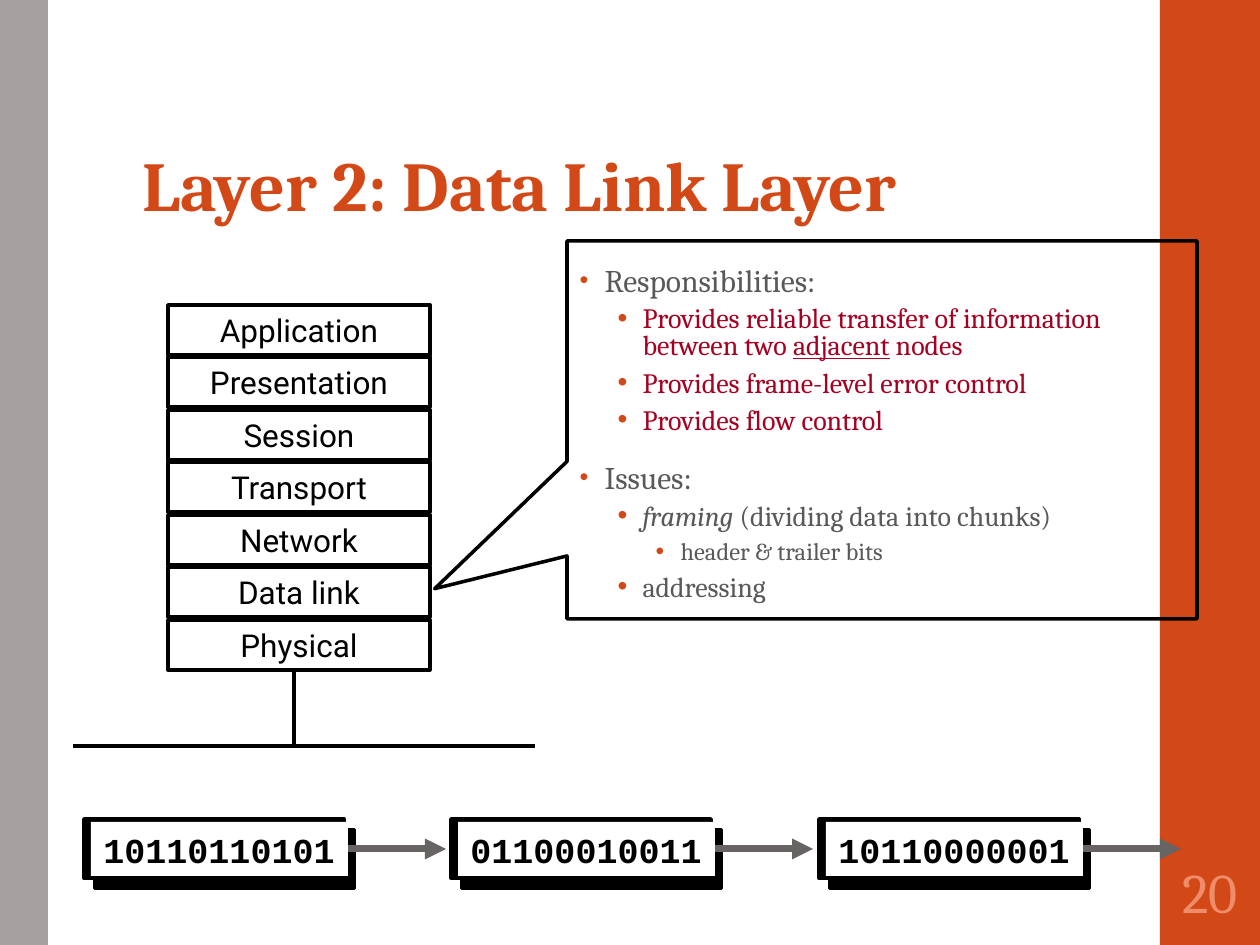
from lxml import etree
from pptx import Presentation
from pptx.dml.color import RGBColor
from pptx.enum.shapes import MSO_CONNECTOR, MSO_SHAPE
from pptx.enum.text import MSO_ANCHOR, MSO_AUTO_SIZE, PP_ALIGN
from pptx.oxml import parse_xml
from pptx.oxml.ns import nsdecls, qn
from pptx.util import Emu, Pt

RECT, CALL = MSO_SHAPE.RECTANGLE, MSO_SHAPE.RECTANGULAR_CALLOUT
LINE = MSO_CONNECTOR.STRAIGHT
TOP, MID, LOW = MSO_ANCHOR.TOP, MSO_ANCHOR.MIDDLE, MSO_ANCHOR.BOTTOM
LEFT, CENTER = PP_ALIGN.LEFT, PP_ALIGN.CENTER
FIXED = MSO_AUTO_SIZE.NONE

BLACK = RGBColor(0x00, 0x00, 0x00)
WHITE = RGBColor(0xFF, 0xFF, 0xFF)
RUST = RGBColor(0xD3, 0x48, 0x17)
STONE = RGBColor(0xA6, 0xA1, 0xA1)
GRAY = RGBColor(0x59, 0x59, 0x59)
SLATE = RGBColor(0x69, 0x64, 0x64)
WINE = RGBColor(0xA5, 0x00, 0x21)
PEACH = RGBColor(0xEF, 0x8C, 0x6A)

SERIF, SANS, MONO = "Cambria", "Roboto", "Courier New"

LAYERS = ["Application", "Presentation", "Session", "Transport",
          "Network", "Data link", "Physical"]
FRAMES = ["10110110101", "01100010011", "10110000001"]

# Each point: level, colour, then runs of text and style
POINTS = [
    (0, GRAY, [("Responsibilities:", "")]),
    (1, WINE, [("Provides reliable transfer of information between two ", ""),
               ("adjacent", "u"), (" nodes", "")]),
    (1, WINE, [("Provides frame-level error control", "")]),
    (1, WINE, [("Provides flow control", "")]),
    (0, GRAY, [("Issues:", "")]),
    (1, GRAY, [("framing ", "i"), ("(dividing data into chunks)", "")]),
    (2, GRAY, [("header & trailer bits", "")]),
    (1, GRAY, [("addressing", "")]),
]
# Each level: text size, space before, space after, bullet percent
LEVELS = [(18, 14, 2, 80), (16, 3, 3, 100), (14, 3, 3, 100)]


def px(n):
    return Emu(round(n * 914400 / 126))


def place(shape, box):
    shape.left, shape.top, shape.width, shape.height = map(px, box)


def add_run(para, text, size, font, color, bold=False):
    run = para.add_run()
    run.text = text
    run.font.size, run.font.name, run.font.bold = Pt(size), font, bold
    run.font.color.rgb = color
    return run


def add_box(slide, box, fill=None, line=None, kind=RECT):
    shape = slide.shapes.add_shape(kind, *map(px, box))
    shape.shadow.inherit = False
    if fill is None:
        shape.fill.background()
    else:
        shape.fill.solid()
        shape.fill.fore_color.rgb = fill
    if line is None:
        shape.line.fill.background()
    else:
        shape.line.color.rgb = line
        shape.line.width = Pt(2)
    return shape


def add_line(slide, x1, y1, x2, y2, color=BLACK, width=2):
    line = slide.shapes.add_connector(LINE, px(x1), px(y1), px(x2), px(y2))
    line.line.color.rgb, line.line.width = color, Pt(width)
    etree.SubElement(line._element.spPr, qn("a:effectLst"))
    return line


def add_bars(slide, box):
    x, y, w, h = box
    tree = slide.shapes._spTree
    for left, wide, color in [(x, 48, STONE), (x + w - 100, 100, RUST)]:
        bar = add_box(slide, (left, y, wide, h), color)
        tree.insert(2, bar._element)  # behind the placeholders


def add_title(slide, box):
    title = slide.shapes.title
    place(title, box)
    frame = title.text_frame
    frame.auto_size, frame.vertical_anchor = FIXED, LOW
    para = frame.paragraphs[0]
    para.alignment, para.line_spacing = LEFT, 0.9
    add_run(para, "Layer 2: Data Link Layer", 40, SERIF, RUST, True)


def add_stack(slide, box):
    x, y, w, h = box
    for i, name in enumerate(LAYERS):
        row = add_box(slide, (x, y + i * 105 // 2, w, h), line=BLACK)
        frame = row.text_frame
        frame.word_wrap, frame.vertical_anchor = True, MID
        frame.paragraphs[0].alignment = CENTER
        add_run(frame.paragraphs[0], name, 18, SANS, BLACK)
    # Drop line and shared medium
    add_line(slide, x + 126, y + 367, x + 126, y + 441)
    add_line(slide, x - 95, y + 441, x + 367, y + 441)


def add_callout(slide, box):
    x, y, w, h = box
    # Turned a quarter, so width and height trade places about the centre
    turn = (x + (w - h) // 2, y + (h - w) // 2, h, w)
    call = add_box(slide, turn, line=BLACK, kind=CALL)
    call.rotation = 90
    call.adjustments[0], call.adjustments[1] = 0.42, 0.71


def add_bullet(para, level, percent):
    props = para._p.get_or_add_pPr()
    props.set("marL", str(px(25 + 38 * level)))
    props.set("indent", str(-px(25)))
    color = etree.SubElement(props, qn("a:buClr"))
    etree.SubElement(color, qn("a:srgbClr"), val=str(RUST))
    etree.SubElement(props, qn("a:buSzPct"), val=str(percent * 1000))
    etree.SubElement(props, qn("a:buFont"), typeface="Arial")
    etree.SubElement(props, qn("a:buChar"), char="•")


def add_points(slide, box):
    body = slide.placeholders[1]
    place(body, box)
    frame = body.text_frame
    frame.auto_size, frame.vertical_anchor = FIXED, TOP
    for i, (level, color, runs) in enumerate(POINTS):
        size, before, after, percent = LEVELS[level]
        para = frame.add_paragraph() if i else frame.paragraphs[0]
        para.level = level
        add_bullet(para, level, percent)
        para.alignment, para.line_spacing = LEFT, 0.8
        para.space_before = Pt(before if i else 0)
        para.space_after = Pt(after)
        for text, style in runs:
            run = add_run(para, text, size, SERIF, color)
            run.font.italic = style == "i"
            run.font.underline = style == "u"


def add_shade(shape):
    old = shape._element.spPr.find(qn("a:effectLst"))
    old.append(parse_xml(
        f'<a:outerShdw {nsdecls("a")} dist="{Pt(8.5)}" dir="2700000" '
        'algn="ctr" rotWithShape="0"><a:srgbClr val="000000"/></a:outerShdw>'))


def add_frame(slide, box, bits):
    x, y, w, h = box
    add_shade(add_box(slide, box, BLACK, BLACK))
    face = add_box(slide, (x + 7, y + 3, w - 3, h - 5), WHITE)
    frame = face.text_frame
    frame.word_wrap, frame.vertical_anchor = False, TOP
    frame.paragraphs[0].alignment = LEFT
    add_run(frame.paragraphs[0], bits, 20, MONO, BLACK, True)
    # Arrow to the next frame
    mid = y + 30
    arrow = add_line(slide, x + 264, mid, x + 362, mid, SLATE, 4)
    arrow.begin_connect(face, 3)
    arrow.end_y = arrow.begin_y
    etree.SubElement(arrow.line._get_or_add_ln(), qn("a:tailEnd"),
                     type="triangle")


def add_stream(slide, box):
    x, y, w, h = box
    for i, bits in enumerate(FRAMES):
        add_frame(slide, (x + i * 735 // 2, y, w, h), bits)


def add_number(slide, box):
    frame = slide.shapes.add_textbox(*map(px, box)).text_frame
    frame.word_wrap, frame.vertical_anchor = True, MID
    frame.margin_left = frame.margin_right = px(4)
    frame.paragraphs[0].alignment = CENTER
    add_run(frame.paragraphs[0], "20", 32, SERIF, PEACH)


def main():
    deck = Presentation()
    deck.slide_width, deck.slide_height = px(1260), px(945)
    slide = deck.slides.add_slide(deck.slide_layouts[1])
    add_bars(slide, (0, 0, 1260, 945))
    add_title(slide, (130, 50, 1002, 183))
    add_stack(slide, (168, 305, 262, 50))
    add_callout(slide, (567, 241, 630, 378))
    add_points(slide, (567, 262, 630, 368))
    add_stream(slide, (84, 819, 260, 59))
    add_number(slide, (1163, 850, 94, 82))
    deck.save("out.pptx")


if __name__ == "__main__":
    main()
